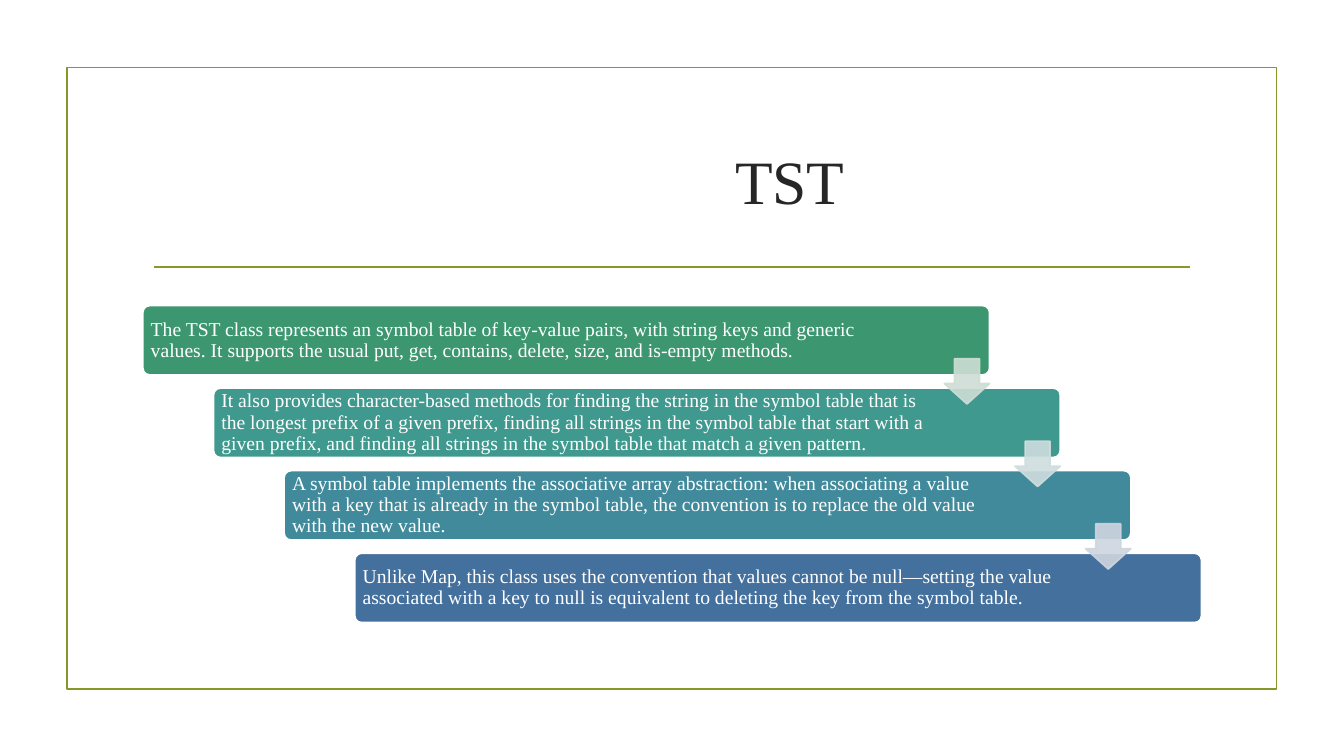
from lxml.etree import SubElement
from pptx import Presentation
from pptx.dml.color import RGBColor
from pptx.enum.shapes import MSO_CONNECTOR, MSO_SHAPE
from pptx.enum.text import MSO_ANCHOR, MSO_AUTO_SIZE, PP_ALIGN
from pptx.oxml.ns import qn
from pptx.util import Cm, Pt

FONT = "Times New Roman"
OLIVE = "83992A"
WHITE = "FFFFFF"
RULE_WIDTH = Pt(1.25)

# Staircase geometry in centimetres
STEP_X, STEP_Y = 1.78, 2.08
BAR_X, BAR_Y, BAR_W, BAR_H = 3.6, 7.7, 21.34, 1.75
ARROW_X, ARROW_Y, ARROW_SIZE = 23.8, 9.04, 1.14
LABEL_GAP = 0.05

# Bar colour, label width, label
STATEMENTS = [
    ("3C9770", 19.3,
     "The TST class represents an symbol table of key-value pairs, with string keys "
     "and generic values. It supports the usual put, get, contains, delete, size, and "
     "is-empty methods."),
    ("3F998E", 18.32,
     "It also provides character-based methods for finding the string in the symbol "
     "table that is the longest prefix of a given prefix, finding all strings in the "
     "symbol table that start with a given prefix, and finding all strings in the "
     "symbol table that match a given pattern."),
    ("418A9B", 18.32,
     "A symbol table implements the associative array abstraction: when associating a "
     "value with a key that is already in the symbol table, the convention is to "
     "replace the old value with the new value."),
    ("44709D", 18.32,
     "Unlike Map, this class uses the convention that values cannot be null—setting "
     "the value associated with a key to null is equivalent to deleting the key from "
     "the symbol table."),
]
ARROW_COLORS = ["CEDDD5", "CFDDDE", "CFD5DF"]


def color(hex_code):
    return RGBColor.from_string(hex_code)


def add_run(paragraph, text, size, hex_code):
    run = paragraph.add_run()
    run.text = text
    run.font.name = FONT
    run.font.size = Pt(size)
    run.font.color.rgb = color(hex_code)


def add_outlined(slide, kind, x, y, width, height, fill, line):
    outlined = slide.shapes.add_shape(kind, Cm(x), Cm(y), Cm(width), Cm(height))
    outlined.shadow.inherit = False
    if fill:
        outlined.fill.solid()
        outlined.fill.fore_color.rgb = color(fill)
    else:
        outlined.fill.background()
    outlined.line.color.rgb = color(line)
    outlined.line.width = RULE_WIDTH
    return outlined


def add_rule(slide, x1, x2, y):
    rule = slide.shapes.add_connector(
        MSO_CONNECTOR.STRAIGHT, Cm(x1), Cm(y), Cm(x2), Cm(y))
    rule.line.color.rgb = color(OLIVE)
    rule.line.width = RULE_WIDTH
    SubElement(rule._element.spPr, qn("a:effectLst"))


def set_title(slide, text):
    title = slide.shapes.title
    title.left, title.top = Cm(3.6), Cm(2.72)
    title.width, title.height = Cm(26.67), Cm(3.63)
    frame = title.text_frame
    frame.auto_size = MSO_AUTO_SIZE.NONE
    frame.vertical_anchor = MSO_ANCHOR.MIDDLE
    frame.margin_left = Cm(6.2)  # moves the centred title to the right
    heading = frame.paragraphs[0]
    heading.alignment = PP_ALIGN.CENTER
    add_run(heading, text, 44, "262626")


def add_bar(slide, index, fill, label_width, text):
    x, y = BAR_X + index * STEP_X, BAR_Y + index * STEP_Y
    bar = add_outlined(slide, MSO_SHAPE.ROUNDED_RECTANGLE, x, y, BAR_W, BAR_H,
                       fill, WHITE)
    bar.adjustments[0] = 0.1

    label = slide.shapes.add_textbox(
        Cm(x + LABEL_GAP), Cm(y + LABEL_GAP),
        Cm(label_width), Cm(BAR_H - 2 * LABEL_GAP))
    frame = label.text_frame
    frame.word_wrap = True
    frame.vertical_anchor = MSO_ANCHOR.MIDDLE
    frame.margin_left = frame.margin_right = Cm(0.15)
    frame.margin_top = frame.margin_bottom = Cm(0.15)
    statement = frame.paragraphs[0]
    statement.line_spacing = 0.9
    add_run(statement, text, 14, WHITE)


def add_arrow(slide, index, hex_code):
    arrow = add_outlined(
        slide, MSO_SHAPE.DOWN_ARROW, ARROW_X + index * STEP_X,
        ARROW_Y + index * STEP_Y, ARROW_SIZE, ARROW_SIZE, hex_code, hex_code)
    arrow.adjustments[0] = 0.55
    arrow.adjustments[1] = 0.45
    # Fill and outline are both 90 % opaque
    for tint in arrow._element.spPr.iter(qn("a:srgbClr")):
        SubElement(tint, qn("a:alpha")).set("val", "90000")


def main():
    deck = Presentation()
    deck.slide_width, deck.slide_height = Cm(33.87), Cm(19.05)
    slide = deck.slides.add_slide(deck.slide_layouts[5])

    # Frame, rule and title
    add_outlined(slide, MSO_SHAPE.RECTANGLE, 1.69, 1.7, 30.48, 15.67, None, OLIVE)
    add_rule(slide, 3.89, 30.0, 6.73)
    set_title(slide, "TST")

    # Staircase of statements, with the arrows on top
    for index, (fill, label_width, text) in enumerate(STATEMENTS):
        add_bar(slide, index, fill, label_width, text)
    for index, hex_code in enumerate(ARROW_COLORS):
        add_arrow(slide, index, hex_code)

    deck.save("out.pptx")


if __name__ == "__main__":
    main()
